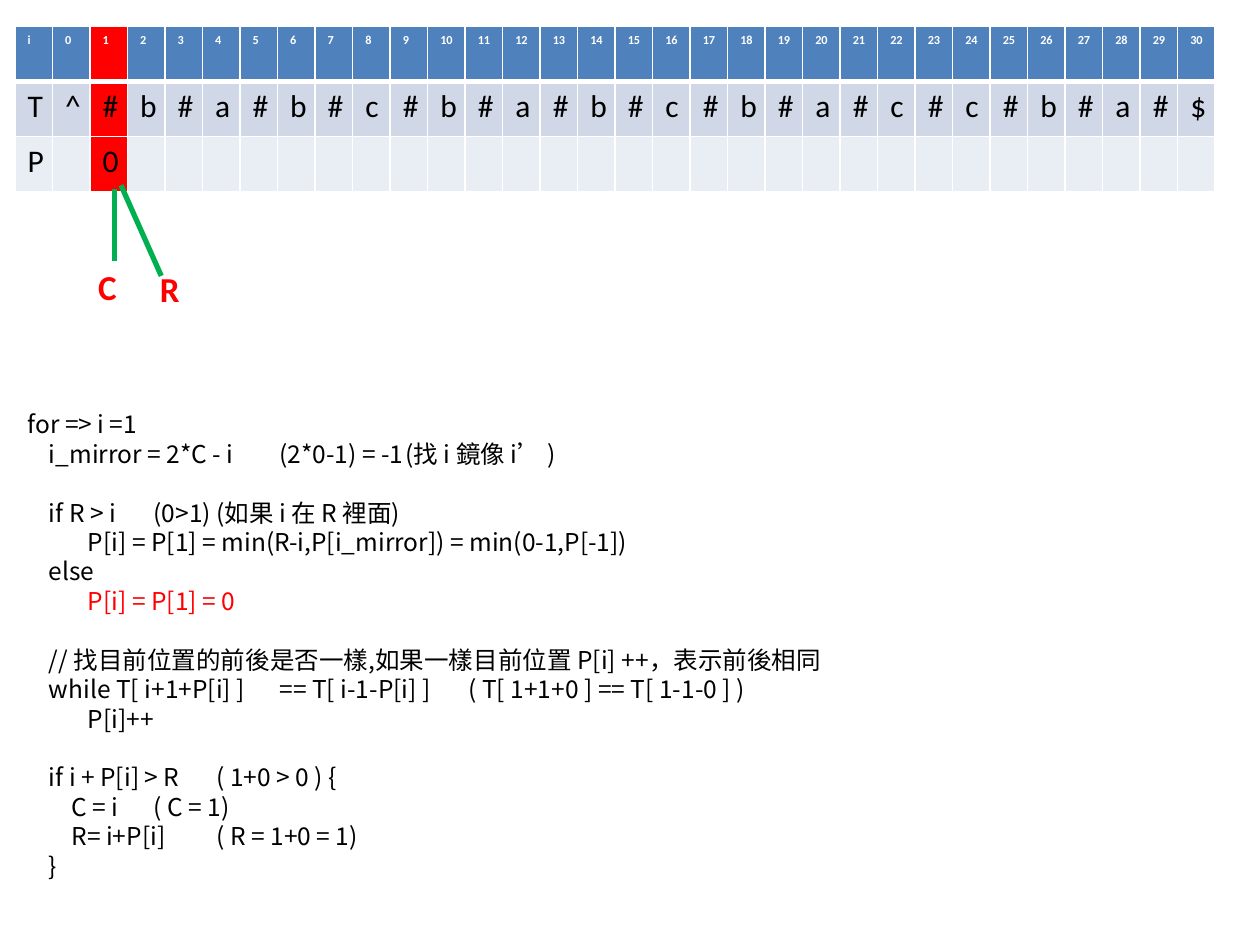
"""Build a slide tracing the first step of Manacher's algorithm."""
import dataclasses
import typing

import lxml.etree
import pptx
import pptx.dml.color
import pptx.enum.shapes
import pptx.enum.text
import pptx.oxml.ns
import pptx.util

Inches = pptx.util.Inches
Pt = pptx.util.Pt


@dataclasses.dataclass(frozen=True)
class Theme:
    font: str = "Calibri"
    code_font: str = "Noto Sans CJK SC"
    black: str = "000000"
    white: str = "FFFFFF"
    red: str = "FF0000"
    green: str = "00B050"
    header: str = "4F81BD"
    band: str = "D0D8E8"
    light_band: str = "E9EDF4"
    index_size: float = 7
    cell_size: float = 18
    label_size: float = 20
    code_size: float = 14
    code_leading: float = 16.8


@dataclasses.dataclass(frozen=True)
class TableRow:
    values: list[str]
    fill: str
    size: float
    color: str
    bold: bool
    top_border: float
    bottom_border: float


@dataclasses.dataclass(frozen=True)
class CodeLine:
    text: str
    indent: float = 0
    tabs: tuple[float, ...] = ()
    gap_before: bool = False
    highlighted: bool = False


class Pointer(typing.NamedTuple):
    label: str
    start: tuple[float, float]
    end: tuple[float, float]
    label_area: tuple[float, float, float, float]


THEME = Theme()
SEQUENCE = "^#b#a#b#c#b#a#b#c#b#a#c#c#b#a#$"
CURRENT = 1
BODY, INNER, DEEP = 0.17, 0.35, 0.48

ROWS = [
    TableRow(["i", *map(str, range(len(SEQUENCE)))], THEME.header,
             THEME.index_size, THEME.white, True, 1, 3),
    TableRow(["T", *SEQUENCE], THEME.band,
             THEME.cell_size, THEME.black, False, 3, 1),
    TableRow(["P", "", "0", *[""] * (len(SEQUENCE) - 2)], THEME.light_band,
             THEME.cell_size, THEME.black, False, 1, 1),
]

CODE = [
    CodeLine("for => i =1"),
    CodeLine("i_mirror = 2*C - i\t(2*0-1) = -1\t(找 i 鏡像 i’ )", BODY, (1.73, 2.79)),
    CodeLine("if R > i\t(0>1)\t(如果 i 在 R 裡面)", BODY, (0.83, 1.4), gap_before=True),
    CodeLine("P[i] = P[1] = min(R-i,P[i_mirror]) = min(0-1,P[-1])", DEEP),
    CodeLine("else", BODY),
    CodeLine("P[i] = P[1] = 0", DEEP, highlighted=True),
    CodeLine("// 找目前位置的前後是否一樣,如果一樣目前位置 P[i] ++，表示前後相同",
             BODY, gap_before=True),
    CodeLine("while T[ i+1+P[i] ]\t== T[ i-1-P[i] ]\t( T[ 1+1+0 ] == T[ 1-1-0 ] )",
             BODY, (1.85, 3.2)),
    CodeLine("P[i]++", DEEP),
    CodeLine("if i + P[i] > R\t( 1+0 > 0 ) {", BODY, (1.4,), gap_before=True),
    CodeLine("C = i\t( C = 1)", INNER, (1.13,)),
    CodeLine("R= i+P[i]\t( R = 1+0 = 1)", INNER, (1.24,)),
    CodeLine("}", BODY),
]

POINTERS = [
    Pointer("C", (0.91, 1.5), (0.91, 2.07), (0.68, 2.06, 0.35, 0.44)),
    Pointer("R", (0.96, 1.47), (1.28, 2.19), (1.17, 2.07, 0.36, 0.44)),
]


def rgb(color: str) -> pptx.dml.color.RGBColor:
    """Turn a hex string into a colour."""
    return pptx.dml.color.RGBColor.from_string(color)


def set_font(para, name: str, size: float, color: str, bold: bool = False) -> None:
    """Set the font of a whole paragraph."""
    para.font.name = name
    para.font.size = Pt(size)
    para.font.bold = bold
    para.font.color.rgb = rgb(color)


def add_element(parent, tag: str, **attributes: str):
    """Append a DrawingML element to its parent."""
    return lxml.etree.SubElement(parent, pptx.oxml.ns.qn(tag), attributes)


def set_borders(cell, top: float, bottom: float) -> None:
    """Draw white borders around a cell."""
    properties = cell._tc.get_or_add_tcPr()
    widths = {"a:lnL": 1, "a:lnR": 1, "a:lnT": top, "a:lnB": bottom}
    for position, (tag, width) in enumerate(widths.items()):
        line = add_element(properties, tag, w=str(Pt(width)))
        fill = add_element(line, "a:solidFill")
        add_element(fill, "a:srgbClr", val=THEME.white)
        properties.insert(position, line)


def add_sequence_table(slide, rows: list[TableRow]) -> None:
    """Draw the index, text and radius rows with the current column marked."""
    columns = len(rows[0].values)
    table = slide.shapes.add_table(len(rows), columns, Inches(0.12), Inches(0.21),
                                   Inches(9.53), Inches(1.31)).table
    for row_number, row in enumerate(rows):
        for column, value in enumerate(row.values):
            cell = table.cell(row_number, column)
            cell.margin_right = 0
            cell.fill.solid()
            cell.fill.fore_color.rgb = rgb(THEME.red if column == CURRENT + 1 else row.fill)
            set_borders(cell, row.top_border, row.bottom_border)
            cell.text = value
            set_font(cell.text_frame.paragraphs[0], THEME.font, row.size, row.color, row.bold)


def add_code(slide, lines: list[CodeLine]) -> None:
    """Write the pseudocode, one paragraph a line."""
    box = slide.shapes.add_textbox(Inches(0.12), Inches(3.2), Inches(9.53), Inches(4.11))
    frame = box.text_frame
    frame.word_wrap = True
    for number, line in enumerate(lines):
        para = frame.add_paragraph() if number else frame.paragraphs[0]
        para.text = line.text
        para.line_spacing = Pt(THEME.code_leading)
        para.space_before = Pt(THEME.code_leading if line.gap_before else 0)
        set_font(para, THEME.code_font, THEME.code_size,
                 THEME.red if line.highlighted else THEME.black)
        properties = para._p.get_or_add_pPr()
        properties.set("marL", "0")
        properties.set("indent", str(Inches(line.indent)))
        if line.tabs:
            stops = add_element(properties, "a:tabLst")
            for stop in line.tabs:
                add_element(stops, "a:tab", pos=str(Inches(stop)), algn="l")
            properties.find(pptx.oxml.ns.qn("a:defRPr")).addprevious(stops)


def add_pointer(slide, pointer: Pointer) -> None:
    """Draw a line from the current column to its label."""
    connector = slide.shapes.add_connector(
        pptx.enum.shapes.MSO_CONNECTOR.STRAIGHT,
        *map(Inches, pointer.start + pointer.end))
    connector.line.color.rgb = rgb(THEME.green)
    connector.line.width = Pt(3)
    add_element(connector._element.spPr, "a:effectLst")
    box = slide.shapes.add_textbox(*map(Inches, pointer.label_area))
    box.text_frame.word_wrap = False
    box.text_frame.auto_size = pptx.enum.text.MSO_AUTO_SIZE.SHAPE_TO_FIT_TEXT
    para = box.text_frame.paragraphs[0]
    para.text = pointer.label
    set_font(para, THEME.font, THEME.label_size, THEME.red, bold=True)


def main() -> None:
    """Build and save the deck."""
    deck = pptx.Presentation()
    deck.slide_width, deck.slide_height = Inches(10), Inches(7.5)
    slide = deck.slides.add_slide(deck.slide_layouts[6])
    add_sequence_table(slide, ROWS)
    add_code(slide, CODE)
    for pointer in POINTERS:
        add_pointer(slide, pointer)
    deck.save("out.pptx")


if __name__ == "__main__":
    main()
